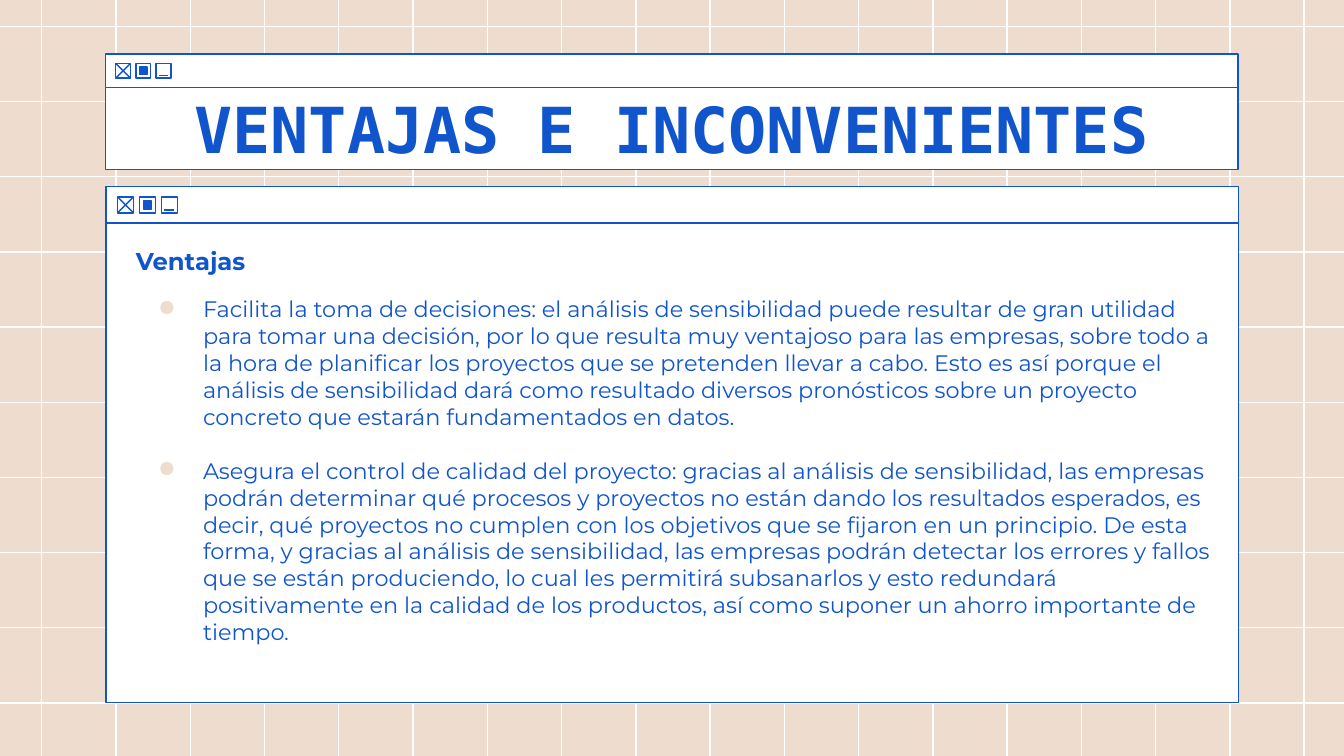
from pptx import Presentation
from pptx.dml.color import RGBColor as RGB
from pptx.enum.shapes import MSO_CONNECTOR as Connector, MSO_SHAPE as Shape
from pptx.enum.text import MSO_ANCHOR as Anchor, MSO_AUTO_SIZE as AutoSize, PP_ALIGN as Align
from pptx.oxml.ns import qn
from pptx.util import Pt
from lxml.etree import SubElement

HEADING = "VENTAJAS E INCONVENIENTES"
SECTION = "Ventajas"
ADVANTAGES = [
    "Facilita la toma de decisiones: el análisis de sensibilidad puede resultar de gran utilidad "
    "para tomar una decisión, por lo que resulta muy ventajoso para las empresas, sobre todo a la "
    "hora de planificar los proyectos que se pretenden llevar a cabo. Esto es así porque el análisis "
    "de sensibilidad dará como resultado diversos pronósticos sobre un proyecto concreto que estarán "
    "fundamentados en datos.",
    "Asegura el control de calidad del proyecto: gracias al análisis de sensibilidad, las empresas "
    "podrán determinar qué procesos y proyectos no están dando los resultados esperados, es decir, "
    "qué proyectos no cumplen con los objetivos que se fijaron en un principio. De esta forma, y "
    "gracias al análisis de sensibilidad, las empresas podrán detectar los errores y fallos que se "
    "están produciendo, lo cual les permitirá subsanarlos y esto redundará positivamente en la "
    "calidad de los productos, así como suponer un ahorro importante de tiempo.",
]

BLUE, SAND, WHITE = RGB(0x11, 0x55, 0xCC), RGB(0xEE, 0xDC, 0xCE), RGB(0xFF, 0xFF, 0xFF)
THEME = {
    "line": 0.75,
    "heading": {"name": "DejaVu Sans Mono", "size": Pt(34), "bold": True},
    "section": {"name": "Montserrat", "size": Pt(13), "bold": True},
    "advantage": {"name": "Montserrat", "size": Pt(12), "bold": False},
}

WIDTH, HEIGHT = 720, 405
GRID_X, GRID_DX, COLUMNS = 22.4, 39.78, 18
GRID_Y, GRID_DY, ROWS = 14.2, 40.26, 10
WINDOW_WIDTH = 606.8
TITLE_BAR = {"left": 56.4, "top": 28.9, "icon": 8}
BODY_WINDOW = {"left": 56.8, "top": 100, "icon": 8.7, "body": 257}
TITLE_BOX = (56.4, 46.9, WINDOW_WIDTH, 43.8)
TEXT_BOX = (65.7, 131, 597.5, 232.5)
GAPS = [10.8, 14.4]


def apply(target, values):
    for name, value in values.items():
        setattr(target, name, value)


def style_font(paragraph, role):
    apply(paragraph.font, THEME[role])
    paragraph.font.color.rgb = BLUE


def outline(line, color):
    line.color.rgb = color
    line.width = Pt(THEME["line"])


def add_line(shapes, x1, y1, x2, y2, color=BLUE):
    line = shapes.add_connector(Connector.STRAIGHT, Pt(x1), Pt(y1), Pt(x2), Pt(y2))
    outline(line.line, color)
    SubElement(line.element.spPr, qn("a:effectLst"))


def add_rect(shapes, left, top, width, height, fill=None):
    rect = shapes.add_shape(Shape.RECTANGLE, Pt(left), Pt(top), Pt(width), Pt(height))
    rect.shadow.inherit = False
    outline(rect.line, BLUE)
    if fill is None:
        rect.fill.background()
    else:
        rect.fill.solid()
        rect.fill.fore_color.rgb = fill


def add_window(left, top, icon, body=0):
    window = slide.shapes.add_group_shape().shapes
    bar = 2.25 * icon
    if body:
        add_rect(window, left, top + bar, WINDOW_WIDTH, body, WHITE)
    add_rect(window, left, top, WINDOW_WIDTH, bar, WHITE)
    y = top + (bar - icon) / 2
    close, maximize, minimize = [left + icon * (0.7 + 1.35 * i) for i in range(3)]
    for x in (close, maximize, minimize):
        add_rect(window, x, y, icon, icon)
    near, far = 0.05 * icon, 0.95 * icon
    add_line(window, close + near, y + near, close + far, y + far)
    add_line(window, close + far, y + near, close + near, y + far)
    add_rect(window, maximize + icon / 4, y + icon / 4, icon / 2, icon / 2, BLUE)
    add_line(window, minimize + 0.2 * icon, y + 0.82 * icon, minimize + 0.8 * icon, y + 0.82 * icon)


def add_bullet(paragraph):
    props = paragraph._p.get_or_add_pPr()
    props.set("marL", str(Pt(36)))
    props.set("indent", str(-Pt(24)))
    color = SubElement(props, qn("a:buClr"))
    SubElement(color, qn("a:srgbClr")).set("val", str(SAND))
    SubElement(props, qn("a:buChar")).set("char", "●")


deck = Presentation()
deck.slide_width, deck.slide_height = Pt(WIDTH), Pt(HEIGHT)
slide = deck.slides.add_slide(deck.slide_layouts[5])
slide.background.fill.solid()
slide.background.fill.fore_color.rgb = SAND

grid = slide.shapes.add_group_shape().shapes
for column in range(COLUMNS):
    x = GRID_X + column * GRID_DX
    add_line(grid, x, 0, x, HEIGHT, WHITE)
for row in range(ROWS):
    y = GRID_Y + row * GRID_DY
    add_line(grid, 0, y, WIDTH, y, WHITE)

add_window(**BODY_WINDOW)

title = slide.shapes.title
apply(title, dict(zip(("left", "top", "width", "height"), map(Pt, TITLE_BOX))))
title.element.getparent().append(title.element)
title.fill.solid()
title.fill.fore_color.rgb = WHITE
outline(title.line, BLUE)
apply(title.text_frame, {
    "text": HEADING, "word_wrap": True, "auto_size": AutoSize.NONE, "vertical_anchor": Anchor.MIDDLE,
    "margin_left": Pt(7.2), "margin_right": Pt(7.2), "margin_top": Pt(7.2), "margin_bottom": Pt(7.2),
})
heading = title.text_frame.paragraphs[0]
heading.alignment = Align.CENTER
style_font(heading, "heading")

advantages = slide.shapes.add_textbox(*map(Pt, TEXT_BOX)).text_frame
apply(advantages, {
    "word_wrap": True, "auto_size": AutoSize.NONE, "vertical_anchor": Anchor.TOP,
    "margin_left": Pt(7.2), "margin_right": Pt(7.2), "margin_top": Pt(1), "margin_bottom": Pt(7.2),
})
section = advantages.paragraphs[0]
section.text = SECTION
style_font(section, "section")
for advantage, gap in zip(ADVANTAGES, GAPS):
    item = advantages.add_paragraph()
    item.text = advantage
    add_bullet(item)
    item.space_before = Pt(gap)
    style_font(item, "advantage")

add_window(**TITLE_BAR)

deck.save("out.pptx")
